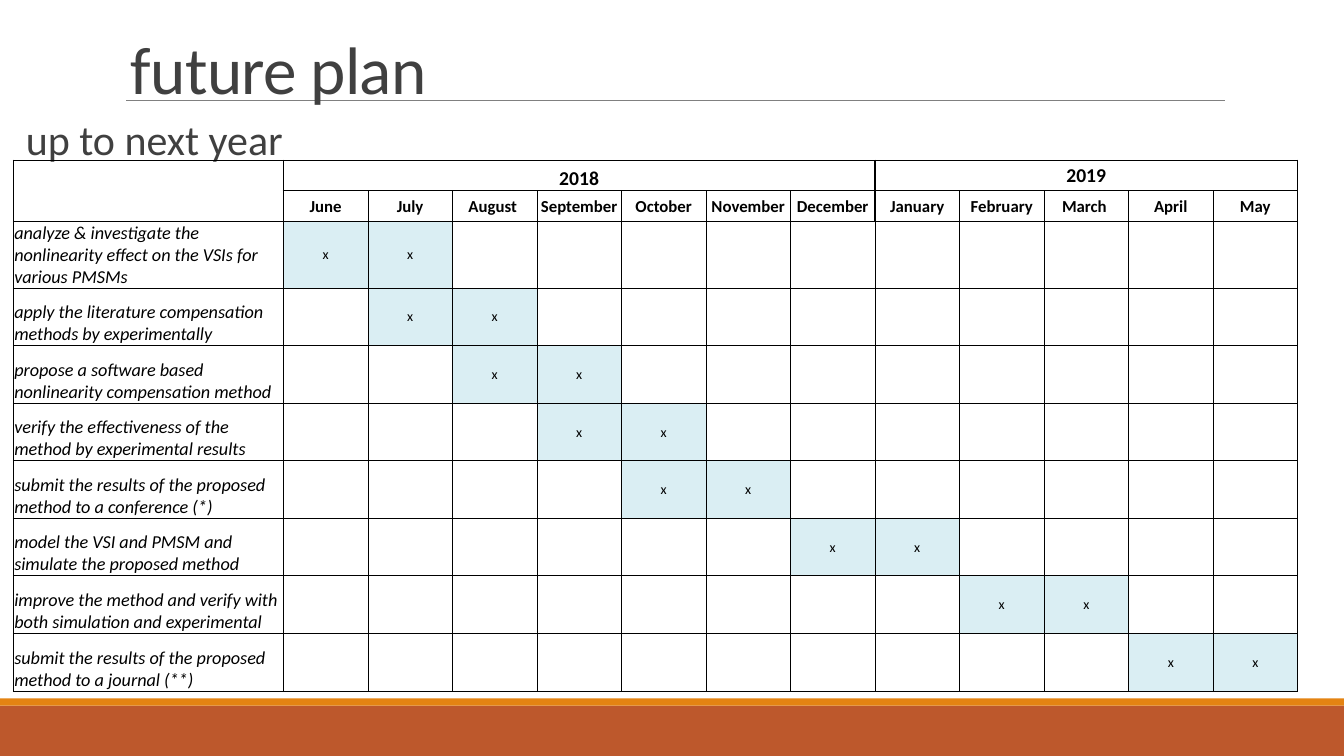
"""Build the one-year research plan slide with its month-by-month schedule."""
import lxml.etree
import pptx
import pptx.dml.color
import pptx.enum.shapes
import pptx.enum.text
import pptx.oxml.ns
import pptx.util

Cm = pptx.util.Cm
Pt = pptx.util.Pt
qn = pptx.oxml.ns.qn
ANCHOR = pptx.enum.text.MSO_ANCHOR
ALIGN = pptx.enum.text.PP_ALIGN

COLORS = {
    "footer": "BD582C",
    "accent": "E48312",
    "rule": "808080",
    "heading": "404040",
    "ink": "000000",
    "active": "DAEEF3",
}
FONT = "Calibri"
YEARS = [("2018", 1, 7, ANCHOR.BOTTOM), ("2019", 8, 12, ANCHOR.MIDDLE)]
MONTHS = ["June", "July", "August ", "September", "October", "November",
          "December", "January", "February", "March ", "April", "May"]
TASKS = [
    ("analyze & investigate the nonlinearity effect on the VSIs for various PMSMs", 1),
    ("apply the literature compensation methods by experimentally", 2),
    ("propose a software based nonlinearity compensation method", 3),
    ("verify the effectiveness of the method by experimental results", 4),
    ("submit the results of the proposed method to a conference (*)", 5),
    ("model the VSI and PMSM and simulate the proposed method", 7),
    ("improve the method and verify with both simulation and experimental", 9),
    ("submit the results of the proposed method to a journal (**)", 11),
]
HEADER_ROWS = 2
ROW_COUNT = HEADER_ROWS + len(TASKS)
COLUMN_COUNT = 1 + len(MONTHS)
ROW_HEIGHTS = [0.76, 0.76, 1.55] + [1.45] * 6 + [1.47]


def rgb(name):
    return pptx.dml.color.RGBColor.from_string(COLORS[name])


def style_font(font, size, color, bold=False, italic=False):
    font.name = FONT
    font.size = Pt(size)
    font.color.rgb = rgb(color)
    font.bold = bold
    font.italic = italic


def add_band(slide, top, height, color):
    band = slide.shapes.add_shape(
        pptx.enum.shapes.MSO_SHAPE.RECTANGLE, 0, Cm(top), Cm(33.87), Cm(height))
    band.shadow.inherit = False
    band.fill.solid()
    band.fill.fore_color.rgb = rgb(color)
    band.line.fill.background()


def add_rule(slide, left, right, top):
    rule = slide.shapes.add_connector(
        pptx.enum.shapes.MSO_CONNECTOR.STRAIGHT, Cm(left), Cm(top), Cm(right), Cm(top))
    rule.line.color.rgb = rgb("rule")
    rule.line.width = Pt(0.5)
    lxml.etree.SubElement(rule.element.spPr, qn("a:effectLst"))


def add_heading(slide, text, box, size, line_spacing, anchor, inset):
    heading = slide.shapes.add_textbox(*map(Cm, box))
    frame = heading.text_frame
    frame.word_wrap = True
    frame.vertical_anchor = anchor
    frame.margin_left = frame.margin_right = Cm(inset)
    frame.text = text
    paragraph = frame.paragraphs[0]
    paragraph.line_spacing = line_spacing
    style_font(paragraph.runs[0].font, size, "heading")
    return paragraph


def set_borders(cell, row, column):
    """Draw heavy lines around the header, task and month blocks, thin lines inside."""
    bottom = row + (cell.span_height if cell.is_merge_origin else 1)
    right = column + (cell.span_width if cell.is_merge_origin else 1)
    heavy_columns = {0, 1, COLUMN_COUNT}
    if row < HEADER_ROWS:
        heavy_columns.add(YEARS[1][1])
    heavy_rows = {0, HEADER_ROWS, ROW_COUNT}
    edges = [("a:lnL", column in heavy_columns), ("a:lnR", right in heavy_columns),
             ("a:lnT", row in heavy_rows), ("a:lnB", bottom in heavy_rows)]
    properties = cell._tc.get_or_add_tcPr()
    for tag, heavy in edges:
        edge = lxml.etree.SubElement(properties, qn(tag), w=str(Pt(1 if heavy else 0.5)))
        fill = lxml.etree.SubElement(edge, qn("a:solidFill"))
        lxml.etree.SubElement(fill, qn("a:srgbClr"), val=COLORS["ink"])


def write_cell(cell, text, size, anchor=ANCHOR.MIDDLE, align=ALIGN.CENTER,
               bold=False, italic=False):
    cell.text = text
    cell.vertical_anchor = anchor
    paragraph = cell.text_frame.paragraphs[0]
    paragraph.alignment = align
    style_font(paragraph.runs[0].font, size, "ink", bold, italic)


def add_schedule(slide):
    schedule = slide.shapes.add_table(
        ROW_COUNT, COLUMN_COUNT, Cm(0.34), Cm(4.04), Cm(32.36), Cm(sum(ROW_HEIGHTS))).table
    schedule.first_row = schedule.horz_banding = False
    for column, month_column in enumerate(schedule.columns):
        month_column.width = Cm(2.13 if column else 6.8)
    for row, height in zip(schedule.rows, ROW_HEIGHTS):
        row.height = Cm(height)

    schedule.cell(0, 0).merge(schedule.cell(1, 0))
    for year, first, last, anchor in YEARS:
        schedule.cell(0, first).merge(schedule.cell(0, last))
        write_cell(schedule.cell(0, first), year, 14, anchor, bold=True)
    for column, month in enumerate(MONTHS, 1):
        write_cell(schedule.cell(1, column), month, 12, bold=True)

    active = set()
    for row, (task, start) in enumerate(TASKS, HEADER_ROWS):
        write_cell(schedule.cell(row, 0), task, 13, ANCHOR.BOTTOM, ALIGN.LEFT, italic=True)
        for column in (start, start + 1):
            write_cell(schedule.cell(row, column), "x", 10)
            active.add((row, column))

    for row in range(ROW_COUNT):
        for column in range(COLUMN_COUNT):
            cell = schedule.cell(row, column)
            cell.margin_left = cell.margin_right = cell.margin_top = Cm(0.02)
            cell.margin_bottom = 0
            if not cell.is_spanned:
                set_borders(cell, row, column)
            if (row, column) in active:
                cell.fill.solid()
                cell.fill.fore_color.rgb = rgb("active")
            else:
                cell.fill.background()


def main():
    presentation = pptx.Presentation()
    presentation.slide_width = Cm(33.87)
    presentation.slide_height = Cm(19.05)
    slide = presentation.slides.add_slide(presentation.slide_layouts[6])

    add_band(slide, 17.78, 1.27, "footer")
    add_band(slide, 17.6, 0.18, "accent")
    add_rule(slide, 3.18, 30.86, 2.53)
    subtitle = add_heading(slide, "up to next year", (0.4, 2.87, 33.2, 14.38),
                           30, 0.9, ANCHOR.TOP, 0)
    subtitle.space_before = Pt(12)
    subtitle.space_after = Pt(2)
    subtitle._p.get_or_add_pPr().set("marL", str(Cm(0.25)))
    title = add_heading(slide, "future plan", (3.05, 0.74, 27.94, 2.1),
                        48, 0.85, ANCHOR.BOTTOM, 0.25)
    title.runs[0].font._element.set("spc", "-50")
    add_schedule(slide)

    presentation.save("out.pptx")


if __name__ == "__main__":
    main()
